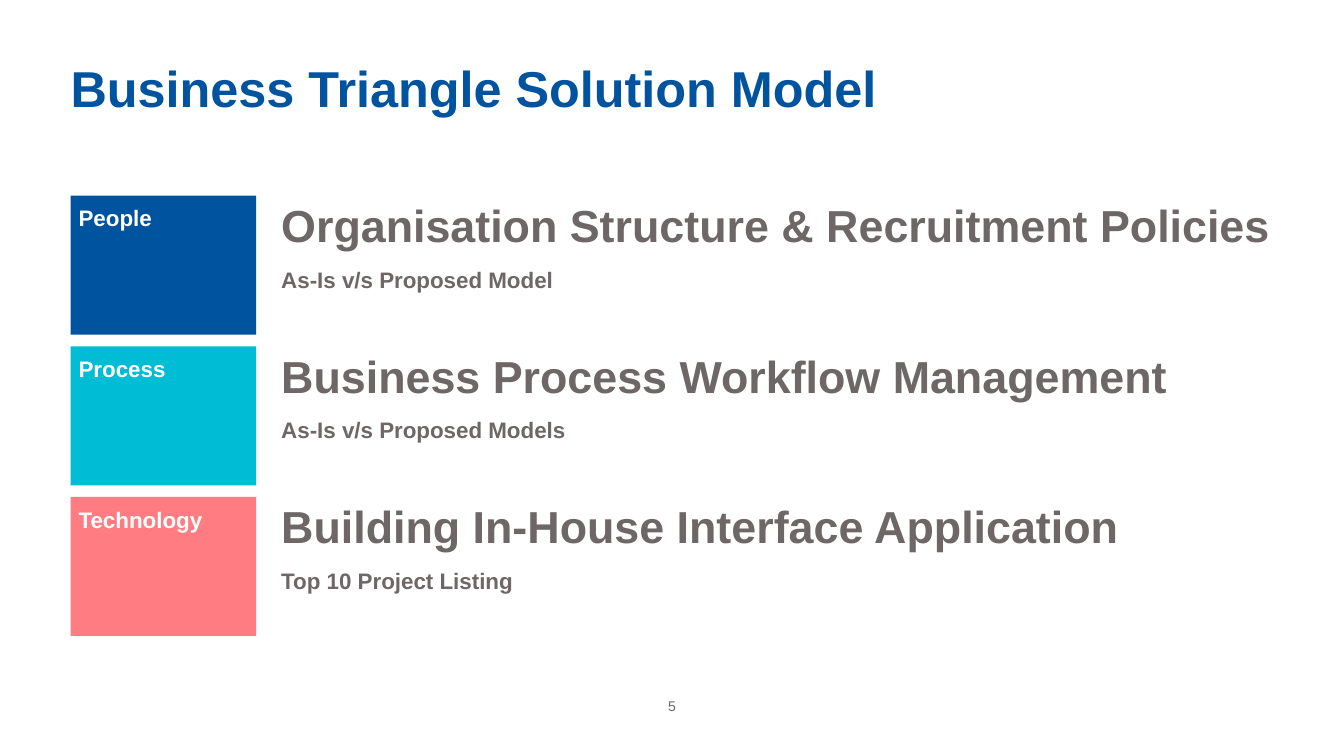
from pptx import Presentation
from pptx.dml.color import RGBColor
from pptx.enum.shapes import MSO_SHAPE
from pptx.enum.text import MSO_ANCHOR, PP_ALIGN
from pptx.util import Inches, Pt

BLUE = RGBColor(0x00, 0x53, 0x9F)
CYAN = RGBColor(0x00, 0xBC, 0xD4)
CORAL = RGBColor(0xFF, 0x7D, 0x82)
GREY = RGBColor(0x6E, 0x67, 0x67)
WHITE = RGBColor(0xFF, 0xFF, 0xFF)

LEFT, CONTENT_WIDTH = 0.7, 11.94
ROWS_TOP, ROW_HEIGHT, ROW_PITCH = 1.94, 1.38, 1.495
TILE_WIDTH, TILE_GAP = 1.84, 0.17

PILLARS = [
    ("People", BLUE, "Organisation Structure & Recruitment Policies",
     "As-Is v/s Proposed Model"),
    ("Process", CYAN, "Business Process Workflow Management",
     "As-Is v/s Proposed Models"),
    ("Technology", CORAL, "Building In-House Interface Application",
     "Top 10 Project Listing"),
]


def set_frame(frame, inset_left=0, inset_top=0, wrap=True):
    frame.word_wrap = wrap
    frame.vertical_anchor = MSO_ANCHOR.TOP
    frame.margin_left, frame.margin_top = Inches(inset_left), Inches(inset_top)
    frame.margin_right = frame.margin_bottom = 0


def style(paragraph, size, color, bold=True, align=PP_ALIGN.LEFT):
    paragraph.alignment = align
    paragraph.line_spacing = 0.9
    font = paragraph.font
    font.name, font.size, font.bold = "Arial", Pt(size), bold
    font.color.rgb = color


def add_label(slide, text, left, top, width, height, size, color, **options):
    label = slide.shapes.add_textbox(
        Inches(left), Inches(top), Inches(width), Inches(height))
    label.text_frame.text = text
    set_frame(label.text_frame, wrap=options.pop("wrap", True))
    style(label.text_frame.paragraphs[0], size, color, **options)


def add_pillar(slide, left, top, width, height, pillar):
    name, color, heading, detail = pillar

    # Coloured tile with the pillar name
    tile = slide.shapes.add_shape(
        MSO_SHAPE.RECTANGLE, Inches(left), Inches(top),
        Inches(TILE_WIDTH), Inches(height))
    tile.shadow.inherit = False
    tile.fill.solid()
    tile.fill.fore_color.rgb = color
    tile.line.fill.background()
    tile.text_frame.text = name
    set_frame(tile.text_frame, 0.08, 0.12)
    style(tile.text_frame.paragraphs[0], 16, WHITE)

    # Heading and detail beside the tile
    offset = TILE_WIDTH + TILE_GAP
    summary = slide.shapes.add_textbox(
        Inches(left + offset), Inches(top),
        Inches(width - offset), Inches(height))
    summary.text_frame.text = f"{heading}\n{detail}"
    set_frame(summary.text_frame, 0.08, 0.08)
    heading_line, detail_line = summary.text_frame.paragraphs
    style(heading_line, 32, GREY)
    heading_line.space_after = Pt(6)
    style(detail_line, 16, GREY)
    detail_line.space_before = Pt(6)


def main():
    deck = Presentation()
    deck.slide_width, deck.slide_height = Inches(13.33), Inches(7.5)
    slide = deck.slides.add_slide(deck.slide_layouts[6])

    # Title
    add_label(slide, "Business Triangle Solution Model",
              LEFT, 0.63, CONTENT_WIDTH, 0.65, 36, BLUE)

    # Pillar rows
    for row, pillar in enumerate(PILLARS):
        add_pillar(slide, LEFT, ROWS_TOP + row * ROW_PITCH,
                   CONTENT_WIDTH, ROW_HEIGHT, pillar)

    # Page number
    add_label(slide, "5", 6.56, 6.94, 0.21, 0.17, 10, GREY,
              bold=False, align=PP_ALIGN.CENTER, wrap=False)

    deck.save("out.pptx")


if __name__ == "__main__":
    main()
